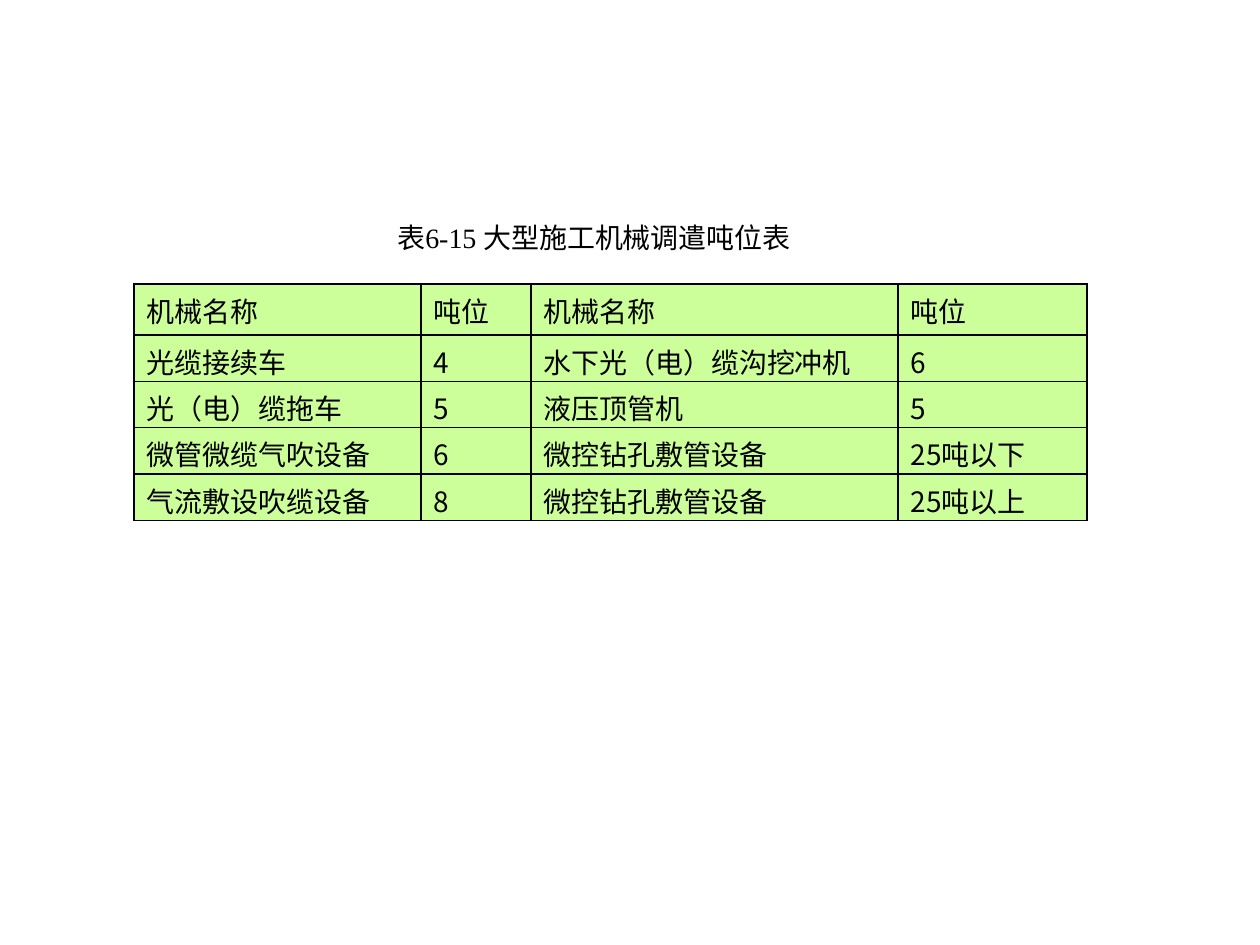
from lxml import etree
from pptx import Presentation
from pptx.dml.color import RGBColor
from pptx.enum.text import MSO_ANCHOR, MSO_AUTO_SIZE, PP_ALIGN
from pptx.oxml.ns import qn
from pptx.util import Pt

CENTER, LEFT = PP_ALIGN.CENTER, PP_ALIGN.LEFT
MIDDLE, TOP = MSO_ANCHOR.MIDDLE, MSO_ANCHOR.TOP
NO_FIT = MSO_AUTO_SIZE.NONE

TITLE = "表6-15 大型施工机械调遣吨位表"
ROWS = [
    ("机械名称", "吨位", "机械名称", "吨位"),
    ("光缆接续车", "4", "水下光（电）缆沟挖冲机", "6"),
    ("光（电）缆拖车", "5", "液压顶管机", "5"),
    ("微管微缆气吹设备", "6", "微控钻孔敷管设备", "25吨以下"),
    ("气流敷设吹缆设备", "8", "微控钻孔敷管设备", "25吨以上"),
]

THEME = {
    "text": "000000", "cell": "CCFF99", "border": "000000",
    "title_font": "Times New Roman", "body_font": "Noto Sans CJK SC",
    "size": 16, "border_width": 1,
}
SLIDE = (1260, 945)
TITLE_BOX = (384, 214, 420, 47)
TABLE_ORIGIN = (134, 284)
COLUMN_WIDTHS = (287, 110, 367, 189)
HEADER_HEIGHT, ROW_HEIGHT = 51, 46


def px(value):
    return round(value * 914400 / 126)


def set_all(target, values):
    for name, value in values.items():
        setattr(target, name, value)


def write(frame, text, font_name, alignment):
    para = frame.paragraphs[0]
    para.alignment = alignment
    span = para.add_run()
    span.text = text
    span.font.color.rgb = RGBColor.from_string(THEME["text"])
    set_all(span.font, {"size": Pt(THEME["size"]), "name": font_name})
    east_asian = etree.SubElement(span.font._element, qn("a:ea"))
    east_asian.set("typeface", THEME["body_font"])


def add_borders(cell):
    properties = cell._tc.get_or_add_tcPr()
    for position, side in enumerate(("lnL", "lnR", "lnT", "lnB")):
        line = etree.Element(qn(f"a:{side}"), w=str(Pt(THEME["border_width"])))
        fill = etree.SubElement(line, qn("a:solidFill"))
        etree.SubElement(fill, qn("a:srgbClr"), val=THEME["border"])
        properties.insert(position, line)


def add_title(page):
    box = page.shapes.title
    set_all(box, dict(zip(("left", "top", "width", "height"), map(px, TITLE_BOX))))
    set_all(box.text_frame, {
        "word_wrap": True, "auto_size": NO_FIT, "vertical_anchor": MIDDLE,
    })
    write(box.text_frame, TITLE, THEME["title_font"], CENTER)


def add_tonnage_table(page):
    heights = [HEADER_HEIGHT] + [ROW_HEIGHT] * (len(ROWS) - 1)
    frame = page.shapes.add_table(
        len(ROWS), len(COLUMN_WIDTHS), *map(px, TABLE_ORIGIN),
        px(sum(COLUMN_WIDTHS)), px(sum(heights)),
    )
    table = frame.table
    set_all(table, {"first_row": False, "horz_banding": False})
    for column, width in zip(table.columns, COLUMN_WIDTHS):
        column.width = px(width)
    for row, height, texts in zip(table.rows, heights, ROWS):
        row.height = px(height)
        for cell, text in zip(row.cells, texts):
            set_all(cell, {
                "margin_left": px(13), "margin_right": px(13),
                "margin_top": px(6), "margin_bottom": 0,
                "vertical_anchor": TOP,
            })
            cell.fill.solid()
            cell.fill.fore_color.rgb = RGBColor.from_string(THEME["cell"])
            add_borders(cell)
            write(cell.text_frame, text, THEME["body_font"], LEFT)


def main():
    deck = Presentation()
    deck.slide_width, deck.slide_height = map(px, SLIDE)
    page = deck.slides.add_slide(deck.slide_layouts.get_by_name("Title Only"))
    add_title(page)
    add_tonnage_table(page)
    deck.save("out.pptx")


if __name__ == "__main__":
    main()
